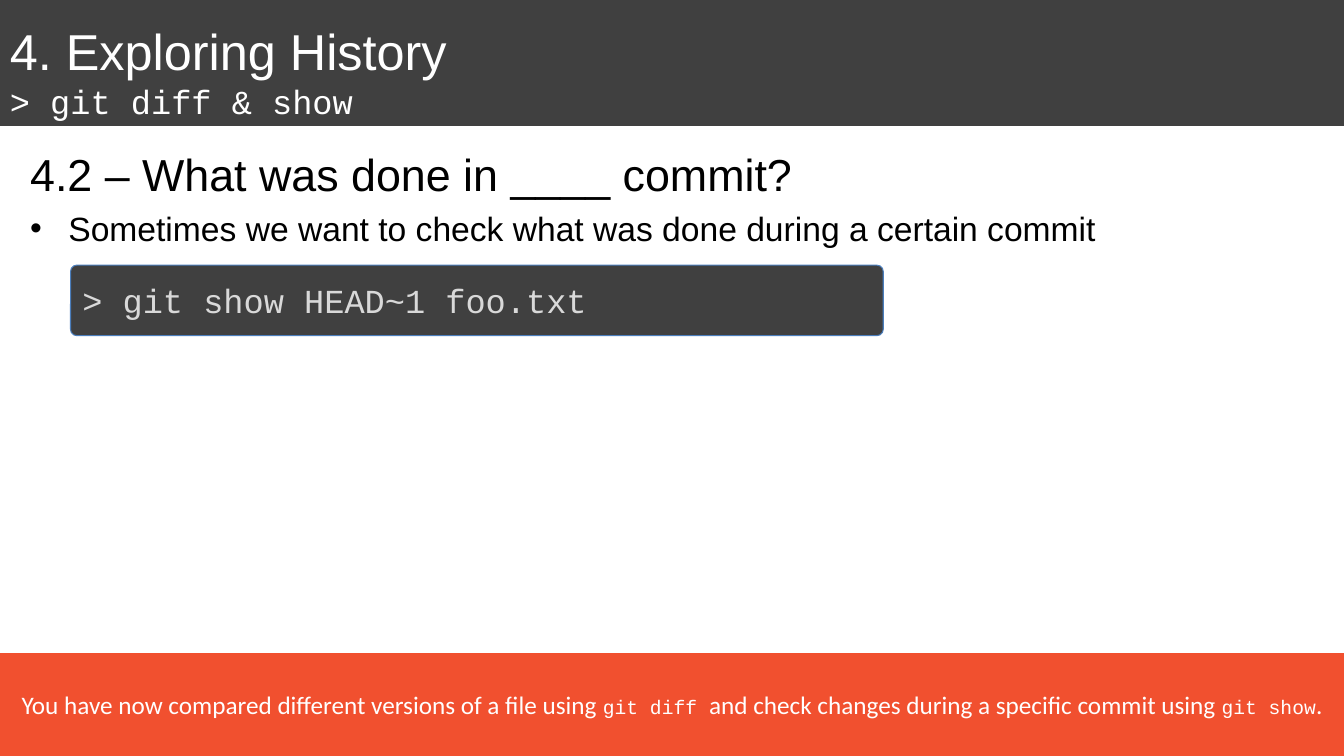
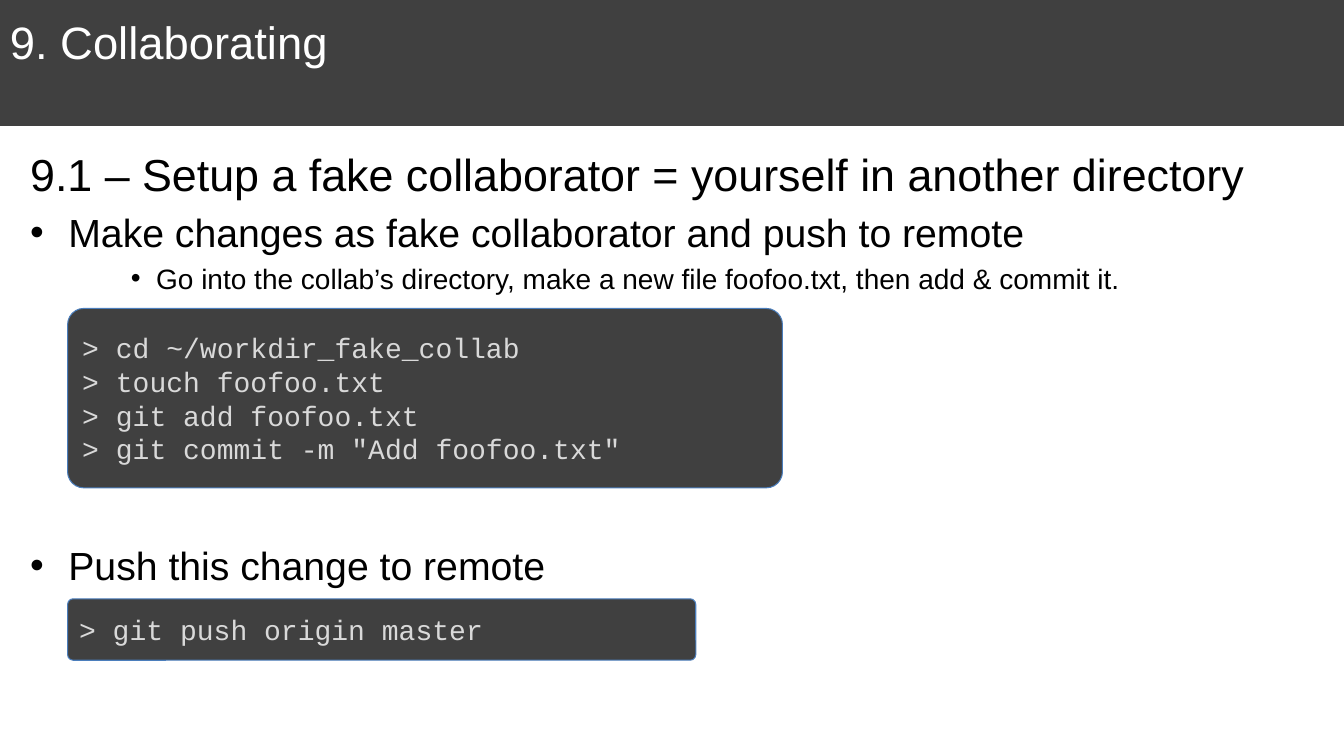
from dataclasses import dataclass

from lxml.etree import SubElement
from pptx import Presentation
from pptx.dml.color import RGBColor
from pptx.enum.shapes import MSO_SHAPE
from pptx.enum.text import MSO_ANCHOR, PP_ALIGN
from pptx.oxml.ns import qn
from pptx.util import Inches, Pt


@dataclass(frozen=True)
class Theme:
    # Slide size in inches
    wide: float = 13.33
    high: float = 7.5
    # Colours
    dark: str = "404040"
    edge: str = "4B7EBC"
    code: str = "D9D9D9"
    note: str = "F1502F"
    white: str = "FFFFFF"
    black: str = "000000"
    # Fonts
    sans: str = "Arial"
    mono: str = "Courier New"
    plain: str = "Calibri"
    # Type sizes
    title: float = 36
    short: float = 32.4
    head: float = 32
    large: float = 28
    mid: float = 24
    small: float = 20
    foot: float = 18
    tiny: float = 14


T = Theme()


def place(left, top, width, height):
    """Turn percentages of the slide into lengths."""
    return (Inches(T.wide * left / 100), Inches(T.high * top / 100),
            Inches(T.wide * width / 100), Inches(T.high * height / 100))


def style(font, face, size, color=None):
    font.name, font.size = face, Pt(size)
    if color:
        font.color.rgb = RGBColor.from_string(color)


def add_line(frame, text, face, size, color):
    """Fill the first paragraph of a frame, or add the next one."""
    para = frame.paragraphs[0]
    if para.runs:
        para = frame.add_paragraph()
    para.alignment = PP_ALIGN.LEFT
    para.add_run().text = text
    style(para.font, face, size, color)
    return para


def add_panel(slide, area, fill, kind=MSO_SHAPE.RECTANGLE):
    shape = slide.shapes.add_shape(kind, *place(*area))
    shape.shadow.inherit = False
    shape.fill.solid()
    shape.fill.fore_color.rgb = RGBColor.from_string(fill)
    shape.line.fill.background()
    shape.text_frame.vertical_anchor = MSO_ANCHOR.MIDDLE
    return shape


# Title band, with an optional command below the title
def add_title(slide, text, command=None):
    frame = add_panel(slide, (0, 0, 100, 16.67), T.dark).text_frame
    frame.vertical_anchor = MSO_ANCHOR.BOTTOM
    size = T.title if command else T.short
    add_line(frame, text, T.sans, size, T.white)
    if command:
        add_line(frame, command, T.mono, T.mid, T.white)
    else:
        frame.margin_bottom = Inches(0.57)


# Heading and the bullets under it
def add_body(slide, head):
    frame = slide.shapes.add_textbox(*place(1.5, 18.8, 96.92, 79.7)).text_frame
    frame.word_wrap = True
    add_line(frame, head, T.sans, T.head, T.black)
    return frame


def add_bullet(frame, text, size, left=0.38, hang=0.38, gap=None):
    para = frame.add_paragraph()
    props = para._p.get_or_add_pPr()
    props.set("marL", str(Inches(left)))
    props.set("indent", str(-Inches(hang)))
    SubElement(props, qn("a:buFont")).set("typeface", T.sans)
    SubElement(props, qn("a:buChar")).set("char", "•")
    para.space_before = Pt(size / 5 if gap is None else gap)
    para.add_run().text = text
    style(para.font, T.sans, size, T.black)


# Rounded box of shell commands
def add_code(slide, area, size, lines):
    box = add_panel(slide, area, T.dark, MSO_SHAPE.ROUNDED_RECTANGLE)
    box.adjustments[0] = 0.09
    box.line.color.rgb = RGBColor.from_string(T.edge)
    box.line.width = Pt(0.75)
    for line in lines:
        add_line(box.text_frame, line, T.mono, size, T.code)


# Closing band: parts alternate between prose and code
def add_note(slide, parts):
    frame = add_panel(slide, (0, 86.4, 100, 13.6), T.note).text_frame
    para = frame.paragraphs[0]
    para.alignment = PP_ALIGN.CENTER
    para.font.color.rgb = RGBColor.from_string(T.white)
    looks = ((T.plain, T.foot), (T.mono, T.tiny))
    for spot, text in enumerate(parts):
        run = para.add_run()
        run.text = text
        style(run.font, *looks[spot % 2], T.white)


def add_history(slide):
    add_title(slide, "4. Exploring History", "> git diff & show")
    body = add_body(slide, "4.2 – What was done in ____ commit?")
    add_bullet(body, "Sometimes we want to check what was done during a "
               "certain commit", T.mid)
    add_code(slide, (5.25, 35.07, 60.47, 9.33), T.mid,
             ["> git show HEAD~1 foo.txt"])
    add_note(slide, [
        "You have now compared different versions of a file using ",
        "git diff ",
        "and check changes during a specific commit using ",
        "git show",
        ".",
    ])


def add_collab(slide):
    add_title(slide, "9. Collaborating")
    body = add_body(slide, "9.1 – Setup a fake collaborator = yourself in "
                    "another directory")
    add_bullet(body, "Make changes as fake collaborator and push to remote",
               T.large)
    add_bullet(body, "Go into the collab’s directory, make a new file "
               "foofoo.txt, then add & commit it.", T.small, 1.25, 0.25)
    add_bullet(body, "Push this change to remote", T.large, gap=176)
    add_code(slide, (5.03, 40.8, 53.19, 23.73), T.small, [
        "> cd ~/workdir_fake_collab",
        "> touch foofoo.txt",
        "> git add foofoo.txt",
        '> git commit -m "Add foofoo.txt"',
    ])
    add_code(slide, (5.03, 79.2, 46.74, 8.13), T.small,
             ["> git push origin master"])


def main():
    deck = Presentation()
    deck.slide_width, deck.slide_height = Inches(T.wide), Inches(T.high)
    for build in (add_history, add_collab):
        build(deck.slides.add_slide(deck.slide_layouts[6]))
    deck.save("out.pptx")


if __name__ == "__main__":
    main()
